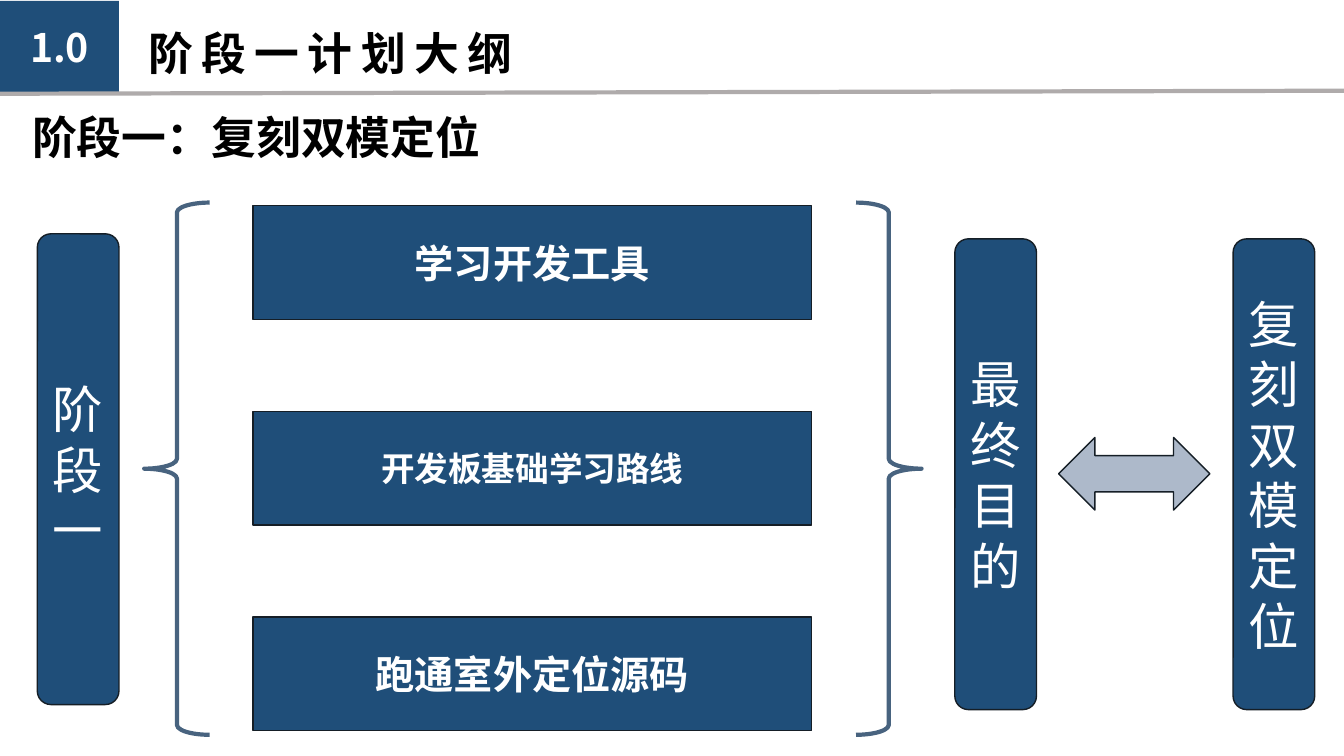
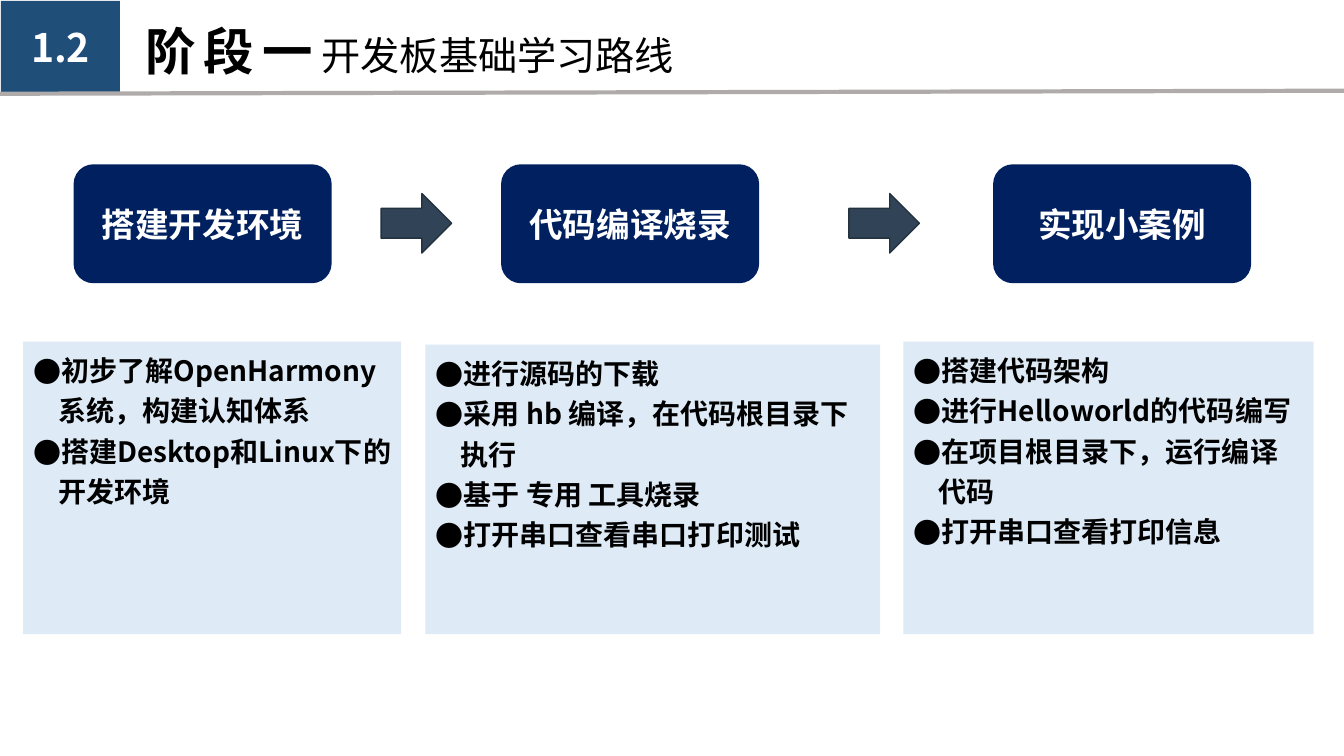
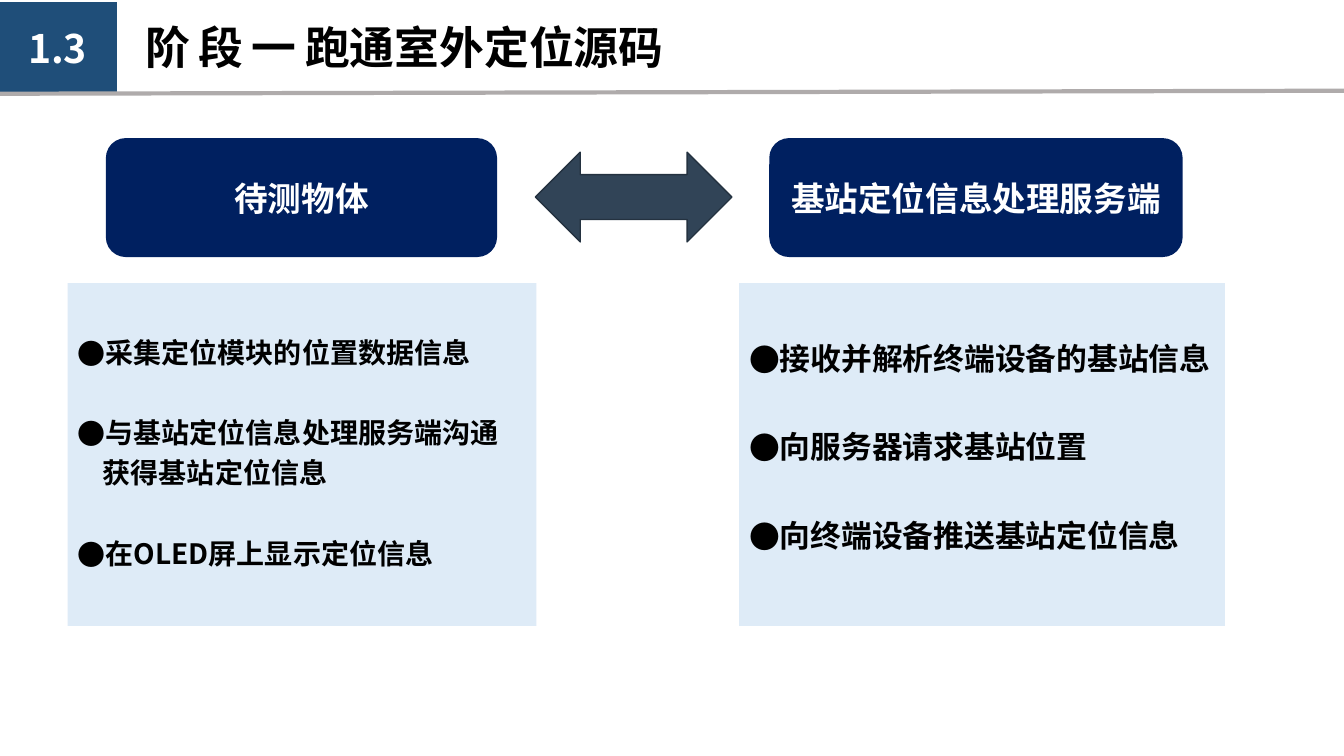
from dataclasses import dataclass

from lxml import etree
from pptx import Presentation
from pptx.dml.color import RGBColor
from pptx.enum.shapes import MSO_CONNECTOR, MSO_SHAPE
from pptx.enum.text import MSO_ANCHOR, MSO_AUTO_SIZE, PP_ALIGN
from pptx.oxml.ns import qn
from pptx.util import Emu, Pt

RECTANGLE = MSO_SHAPE.RECTANGLE
ROUNDED = MSO_SHAPE.ROUNDED_RECTANGLE
LEFT_BRACE = MSO_SHAPE.LEFT_BRACE
RIGHT_BRACE = MSO_SHAPE.RIGHT_BRACE
RIGHT_ARROW = MSO_SHAPE.RIGHT_ARROW
DOUBLE_ARROW = MSO_SHAPE.LEFT_RIGHT_ARROW
STRAIGHT = MSO_CONNECTOR.STRAIGHT
TOP, MIDDLE = MSO_ANCHOR.TOP, MSO_ANCHOR.MIDDLE
LEFT, CENTER = PP_ALIGN.LEFT, PP_ALIGN.CENTER
FIXED_SIZE = MSO_AUTO_SIZE.NONE

EMU_PER_PX = 9144  # 100 px to the inch
SLIDE_WIDTH, SLIDE_HEIGHT = 1333, 750
# Layouts of the default template, by number of lists on the slide
LAYOUT_FOR_LISTS = {0: 5, 2: 3, 3: 4}


@dataclass(frozen=True)
class Theme:
    font: str = "Noto Sans CJK SC"
    black: str = "000000"
    white: str = "FFFFFF"
    blue: str = "1F4E79"
    navy: str = "002060"
    pale: str = "DEEBF7"
    slate: str = "314457"
    silver: str = "ADB9CA"
    brace: str = "48637F"
    rule: str = "AFABAB"
    outline: str = "151E26"
    arrow_outline: str = "243240"
    title_size: int = 32
    badge_size: int = 28
    column_size: int = 36
    step_size: int = 24
    list_size: int = 20
    line_spacing: float = 1.2
    blank_line: float = 1.43  # height of an empty list line, per point of type
    tracking: int = 600
    thin: int = 1
    thick: int = 3


THEME = Theme()


def px(length):
    return Emu(round(length * EMU_PER_PX))


def color(value):
    return RGBColor.from_string(value)


class Deck:
    def __init__(self, theme):
        self.theme = theme
        self.presentation = Presentation()
        self.presentation.slide_width = px(SLIDE_WIDTH)
        self.presentation.slide_height = px(SLIDE_HEIGHT)
        self.slide = None

    # Shared helpers
    def format_run(self, run, size, text_color, bold, tracking=0):
        run.font.name = self.theme.font
        run.font.size = Pt(size)
        run.font.bold = bold
        run.font.color.rgb = color(text_color)
        properties = run.font._element
        properties.set("spc", str(tracking))
        east_asian = etree.SubElement(properties, qn("a:ea"))
        east_asian.set("typeface", self.theme.font)

    def place(self, shape, box):
        shape.left, shape.top, shape.width, shape.height = map(px, box)

    def prepare_frame(self, shape, anchor):
        frame = shape.text_frame
        frame.word_wrap = True
        frame.auto_size = FIXED_SIZE
        frame.vertical_anchor = anchor
        return frame

    # Slide with badge, title and rule
    def add_slide(self, number, badge_at, title_box, title_parts,
                  title_anchor=TOP, lists=0):
        layout = self.presentation.slide_layouts[LAYOUT_FOR_LISTS[lists]]
        self.slide = self.presentation.slides.add_slide(layout)
        self.title(title_box, title_parts, title_anchor)
        self.shape(RECTANGLE, (*badge_at, 118, 91), self.theme.blue,
                   text=number, size=self.theme.badge_size, bold=True)
        self.rule()

    def title(self, box, parts, anchor):
        title = self.slide.shapes.title
        self.place(title, box)
        paragraph = self.prepare_frame(title, anchor).paragraphs[0]
        paragraph.alignment = LEFT
        for text, size, bold, tracking in parts:
            run = paragraph.add_run()
            run.text = text
            self.format_run(run, size, self.theme.black, bold, tracking)

    def rule(self):
        line = self.slide.shapes.add_connector(
            STRAIGHT, px(0), px(93), px(SLIDE_WIDTH), px(90))
        line.line.color.rgb = color(self.theme.rule)
        line.line.width = Pt(self.theme.thick)
        etree.SubElement(line._element.spPr, qn("a:effectLst"))

    # Shapes and text
    def shape(self, kind, box, fill, outline=None, width=THEME.thin,
              text="", size=THEME.step_size, bold=False):
        shape = self.slide.shapes.add_shape(kind, *map(px, box))
        shape.shadow.inherit = False
        shape.fill.solid()
        shape.fill.fore_color.rgb = color(fill)
        if outline:
            shape.line.color.rgb = color(outline)
            shape.line.width = Pt(width)
        else:
            shape.line.fill.background()
        if text:
            frame = self.prepare_frame(shape, MIDDLE)
            frame.text = text
            paragraph = frame.paragraphs[0]
            paragraph.alignment = CENTER
            self.format_run(paragraph.runs[0], size, self.theme.white, bold)
        return shape

    def brace(self, kind, left):
        brace = self.shape(kind, (left, 201, 65, 528), self.theme.white,
                           self.theme.brace, self.theme.thick)
        brace.adjustments[0] = 0.15

    def column(self, left, top, text):
        self.shape(ROUNDED, (left, top, 81, 467), self.theme.blue,
                   self.theme.outline, text=text, size=self.theme.column_size)

    def step(self, box, text):
        self.shape(ROUNDED, box, self.theme.navy, text=text, bold=True)

    def heading(self, box, text):
        text_box = self.slide.shapes.add_textbox(*map(px, box))
        frame = self.prepare_frame(text_box, TOP)
        frame.text = text
        self.format_run(frame.paragraphs[0].runs[0], self.theme.title_size,
                        self.theme.black, True)

    # Bulleted lists in the body placeholders
    def bullet(self, paragraph):
        properties = paragraph._p.get_or_add_pPr()
        properties.set("marL", str(px(25)))
        properties.set("indent", str(-px(25)))
        etree.SubElement(properties, qn("a:buFont")).set("typeface", self.theme.font)
        etree.SubElement(properties, qn("a:buChar")).set("char", "●")

    def bullet_list(self, placeholder, box, items, size, spaced):
        self.place(placeholder, box)
        placeholder.fill.solid()
        placeholder.fill.fore_color.rgb = color(self.theme.pale)
        frame = self.prepare_frame(placeholder, TOP)
        gap = size * self.theme.blank_line if spaced else 0
        frame.margin_top = px(5) + Pt(gap)
        frame.text = "\n".join(items)
        for index, paragraph in enumerate(frame.paragraphs):
            self.bullet(paragraph)
            paragraph.alignment = LEFT
            paragraph.line_spacing = self.theme.line_spacing
            paragraph.space_before = Pt(gap if index else 0)
            self.format_run(paragraph.runs[0], size, self.theme.black, True)

    def bullet_lists(self, lists, spaced=False):
        bodies = [body for body in self.slide.placeholders
                  if body.placeholder_format.idx in range(1, 9)]
        for body, (box, size, items) in zip(bodies, lists):
            self.bullet_list(body, box, items, size, spaced)
        for body in bodies[len(lists):]:
            body._element.getparent().remove(body._element)


def outline_slide(deck):
    theme = deck.theme
    deck.add_slide("1.0", (0, 1), (137, 3, 409, 98),
                   [("阶段一计划大纲", theme.title_size, True, theme.tracking)], MIDDLE)
    deck.heading((22, 104, 1211, 64), "阶段一：复刻双模定位")
    deck.column(37, 232, "阶段一")
    deck.brace(LEFT_BRACE, 143)
    tasks = [("学习开发工具", 28), ("开发板基础学习路线", 24), ("跑通室外定位源码", 28)]
    for row, (text, size) in enumerate(tasks):
        deck.shape(RECTANGLE, (251, 204 + 204 * row, 554, 113), theme.blue,
                   theme.outline, text=text, size=size, bold=True)
    deck.brace(RIGHT_BRACE, 849)
    deck.column(947, 237, "最终目的")
    deck.shape(DOUBLE_ARROW, (1050, 434, 150, 72), theme.silver, theme.outline)
    deck.column(1223, 237, "复刻双模定位")


def learning_slide(deck):
    theme = deck.theme
    deck.add_slide("1.2", (1, 1), (134, 15, 729, 71),
                   [("阶段一", 36, True, theme.tracking),
                    ("开发板基础学习路线", 28, False, 0)], lists=3)
    for left, text in [(73, "搭建开发环境"), (497, "代码编译烧录"), (985, "实现小案例")]:
        deck.step((left, 163, 256, 118), text)
    for left in (378, 842):
        deck.shape(RIGHT_ARROW, (left, 192, 70, 59), theme.slate, theme.arrow_outline)
    deck.bullet_lists([
        ((23, 339, 375, 290), theme.list_size,
         ["初步了解OpenHarmony系统，构建认知体系", "搭建Desktop和Linux下的开发环境"]),
        ((422, 342, 451, 287), theme.list_size,
         ["进行源码的下载", "采用 hb 编译，在代码根目录下执行",
          "基于 专用 工具烧录", "打开串口查看串口打印测试"]),
        ((896, 339, 407, 290), theme.list_size,
         ["搭建代码架构", "进行Helloworld的代码编写",
          "在项目根目录下，运行编译代码", "打开串口查看打印信息"]),
    ])


def positioning_slide(deck):
    theme = deck.theme
    deck.add_slide("1.3", (-2, 2), (134, 15, 729, 64),
                   [("阶段一", theme.title_size, True, theme.tracking),
                    ("跑通室外定位源码", theme.title_size, True, 0)], lists=2)
    deck.step((105, 137, 388, 118), "待测物体")
    deck.step((763, 137, 410, 118), "基站定位信息处理服务端")
    deck.bullet_lists([
        ((67, 281, 465, 340), theme.list_size,
         ["采集定位模块的位置数据信息", "与基站定位信息处理服务端沟通获得基站定位信息",
          "在OLED屏上显示定位信息"]),
        ((733, 281, 482, 340), 22,
         ["接收并解析终端设备的基站信息", "向服务器请求基站位置",
          "向终端设备推送基站定位信息"]),
    ], spaced=True)
    deck.shape(DOUBLE_ARROW, (531, 151, 195, 89), theme.slate, theme.arrow_outline)


def main():
    deck = Deck(THEME)
    outline_slide(deck)
    learning_slide(deck)
    positioning_slide(deck)
    deck.presentation.save("out.pptx")


if __name__ == "__main__":
    main()
